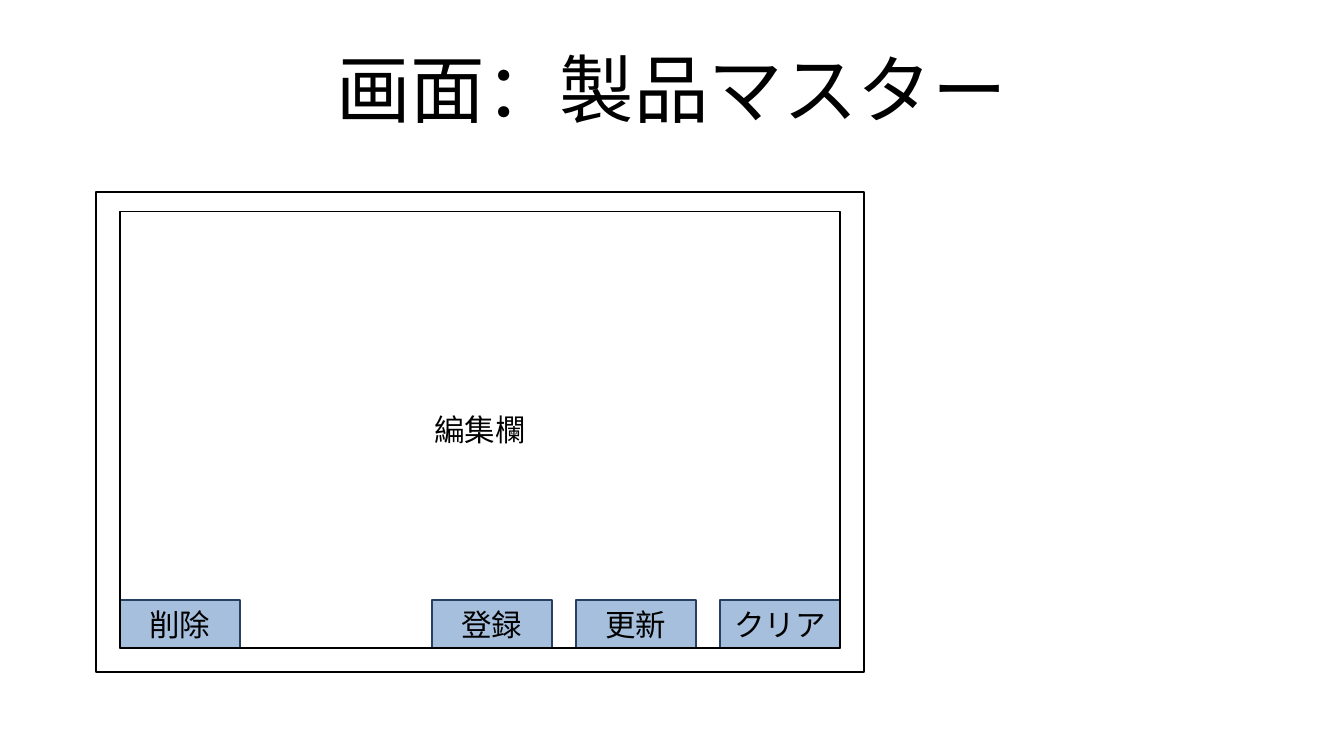
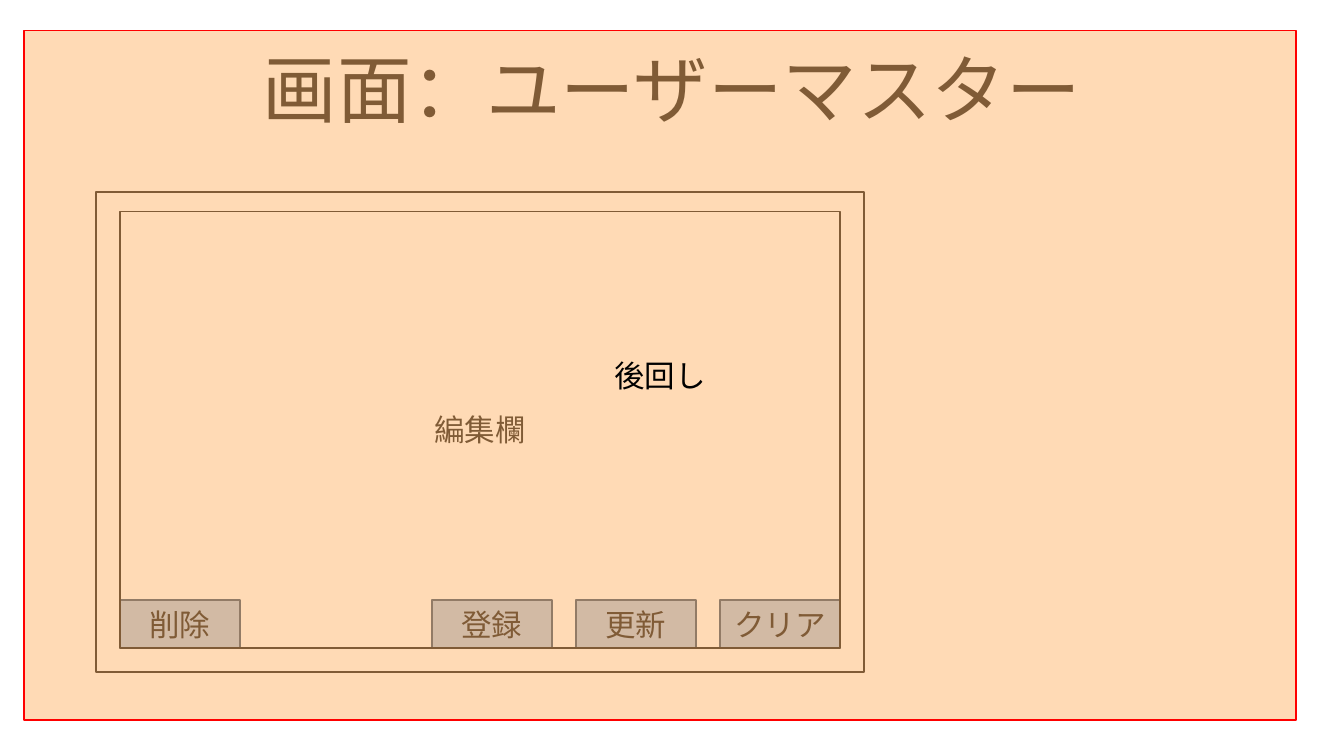
from lxml import etree
from pptx import Presentation
from pptx.dml.color import RGBColor
from pptx.enum.shapes import MSO_SHAPE
from pptx.enum.text import MSO_ANCHOR, PP_ALIGN
from pptx.oxml.ns import qn
from pptx.util import Cm, Pt

RECTANGLE = MSO_SHAPE.RECTANGLE
MIDDLE = MSO_ANCHOR.MIDDLE
CENTER = PP_ALIGN.CENTER

BLACK = RGBColor(0x00, 0x00, 0x00)
BUTTON_FILL = RGBColor(0x4F, 0x81, 0xBD)
BUTTON_LINE = RGBColor(0x25, 0x40, 0x61)
OVERLAY_FILL = RGBColor(0xFF, 0xB6, 0x6C)
OVERLAY_LINE = RGBColor(0xFF, 0x00, 0x00)
FONT = "Arial"
TITLE_SIZE, BODY_SIZE = Pt(44), Pt(18)
OPACITY = 50

# Each screen: title and, if it is postponed, the note laid over it
SCREENS = [
    ("画面：製品マスター", None),
    ("画面：ユーザーマスター", "後回し"),
]
EDITOR_LABEL = "編集欄"
LEFT_BUTTON = "削除"
RIGHT_BUTTONS = ["登録", "更新", "クリア"]

# Boxes in centimetres: left, top, width, height
SLIDE_SIZE = (28, 15.75)
TITLE_BOX = (1.4, 0.63, 25.2, 2.62)
WINDOW_BOX = (2, 4, 16, 10)
EDITOR_BOX = (2.5, 4.4, 15, 9.1)
OVERLAY_BOX = (0.5, 0.63, 26.5, 14.37)
BUTTON_WIDTH, BUTTON_HEIGHT, BUTTON_GAP = 2.5, 1, 0.5


def cm_box(box):
    return [Cm(length) for length in box]


def write_text(shape, text, size):
    frame = shape.text_frame
    frame.word_wrap = True
    frame.vertical_anchor = MIDDLE
    paragraph = frame.paragraphs[0]
    paragraph.text = text
    paragraph.alignment = CENTER
    paragraph.font.name = FONT
    paragraph.font.size = size
    paragraph.font.color.rgb = BLACK
    return frame


def add_title(slide, text):
    frame = write_text(slide.shapes.add_textbox(*cm_box(TITLE_BOX)), text, TITLE_SIZE)
    frame.margin_left = frame.margin_right = 0
    frame.margin_top = frame.margin_bottom = 0
    frame.paragraphs[0].line_spacing = 0.9


def add_panel(slide, box, text=None, fill=None, line=BLACK):
    """Add a hairline rectangle, half transparent when it has a fill."""
    shape = slide.shapes.add_shape(RECTANGLE, *cm_box(box))
    shape.shadow.inherit = False
    shape.line.color.rgb = line
    shape.line.width = Pt(0)
    if fill is None:
        shape.fill.background()
    else:
        shape.fill.solid()
        shape.fill.fore_color.rgb = fill
        color = shape.fill._xPr.find(".//" + qn("a:srgbClr"))
        etree.SubElement(color, qn("a:alpha")).set("val", str(OPACITY * 1000))
    if text:
        write_text(shape, text, BODY_SIZE)


def add_buttons(slide):
    """Put one button at the editor's left edge and the rest against its right."""
    left, top, width, height = EDITOR_BOX
    pitch = BUTTON_WIDTH + BUTTON_GAP
    first = left + width + BUTTON_GAP - pitch * len(RIGHT_BUTTONS)
    buttons = [(LEFT_BUTTON, left)]
    buttons += [(text, first + pitch * i) for i, text in enumerate(RIGHT_BUTTONS)]
    button_top = top + height - BUTTON_HEIGHT
    for text, button_left in buttons:
        box = (button_left, button_top, BUTTON_WIDTH, BUTTON_HEIGHT)
        add_panel(slide, box, text, BUTTON_FILL, BUTTON_LINE)


def add_screen(presentation, title, note):
    slide = presentation.slides.add_slide(presentation.slide_layouts[6])
    add_title(slide, title)
    add_panel(slide, WINDOW_BOX)
    add_buttons(slide)
    add_panel(slide, EDITOR_BOX, EDITOR_LABEL)
    if note:
        add_panel(slide, OVERLAY_BOX, note, OVERLAY_FILL, OVERLAY_LINE)


def main():
    presentation = Presentation()
    presentation.slide_width, presentation.slide_height = cm_box(SLIDE_SIZE)
    for title, note in SCREENS:
        add_screen(presentation, title, note)
    presentation.save("out.pptx")


if __name__ == "__main__":
    main()
